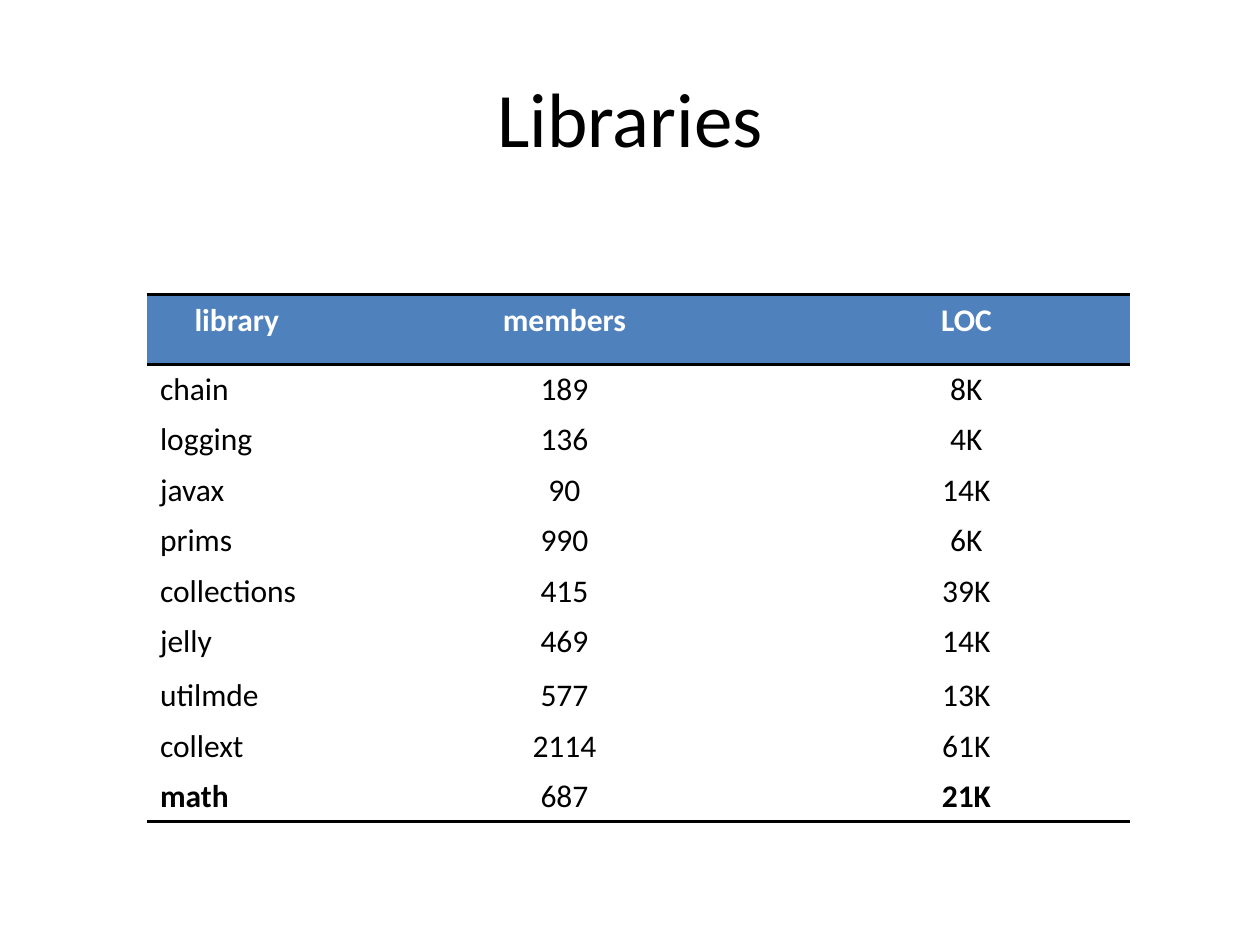
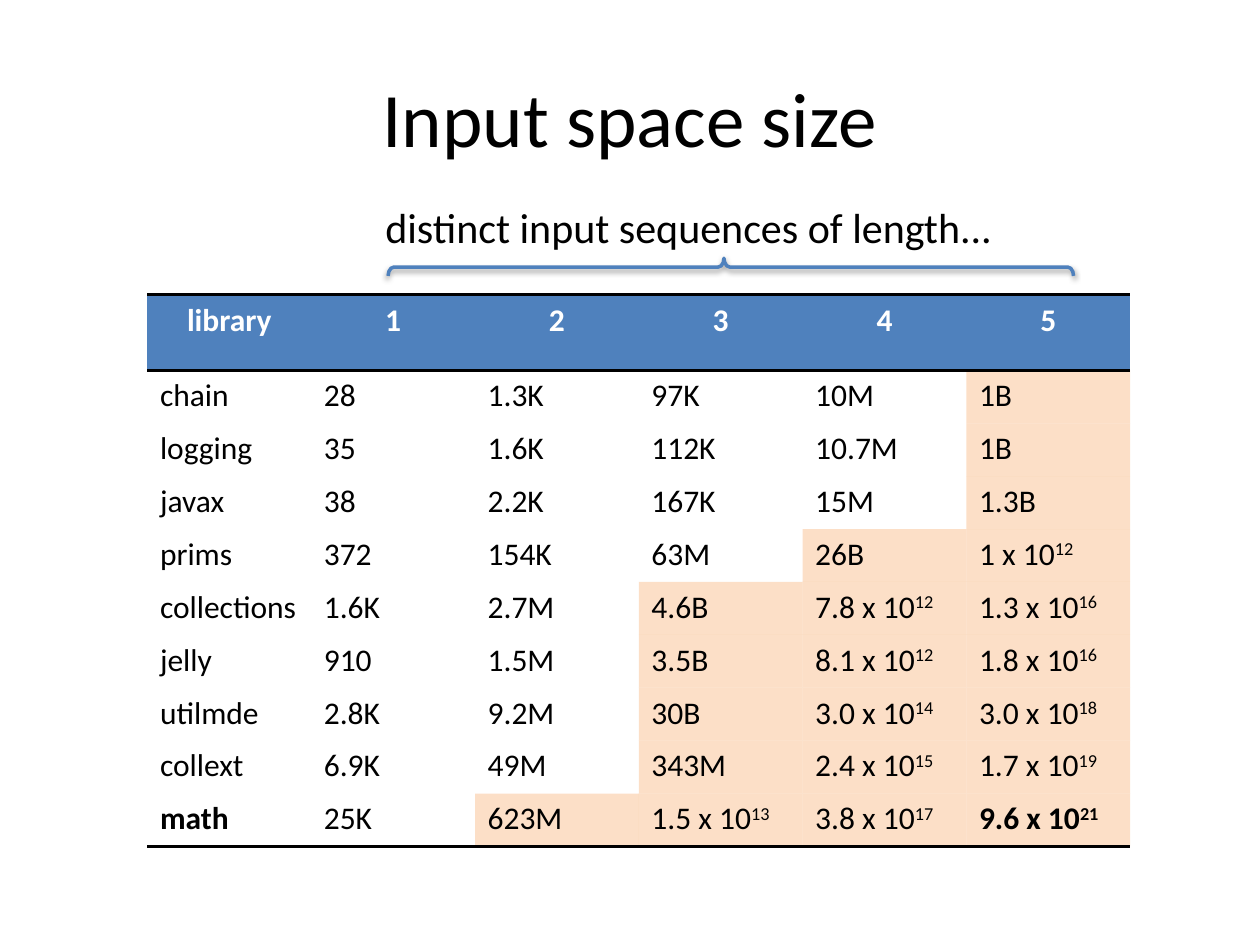
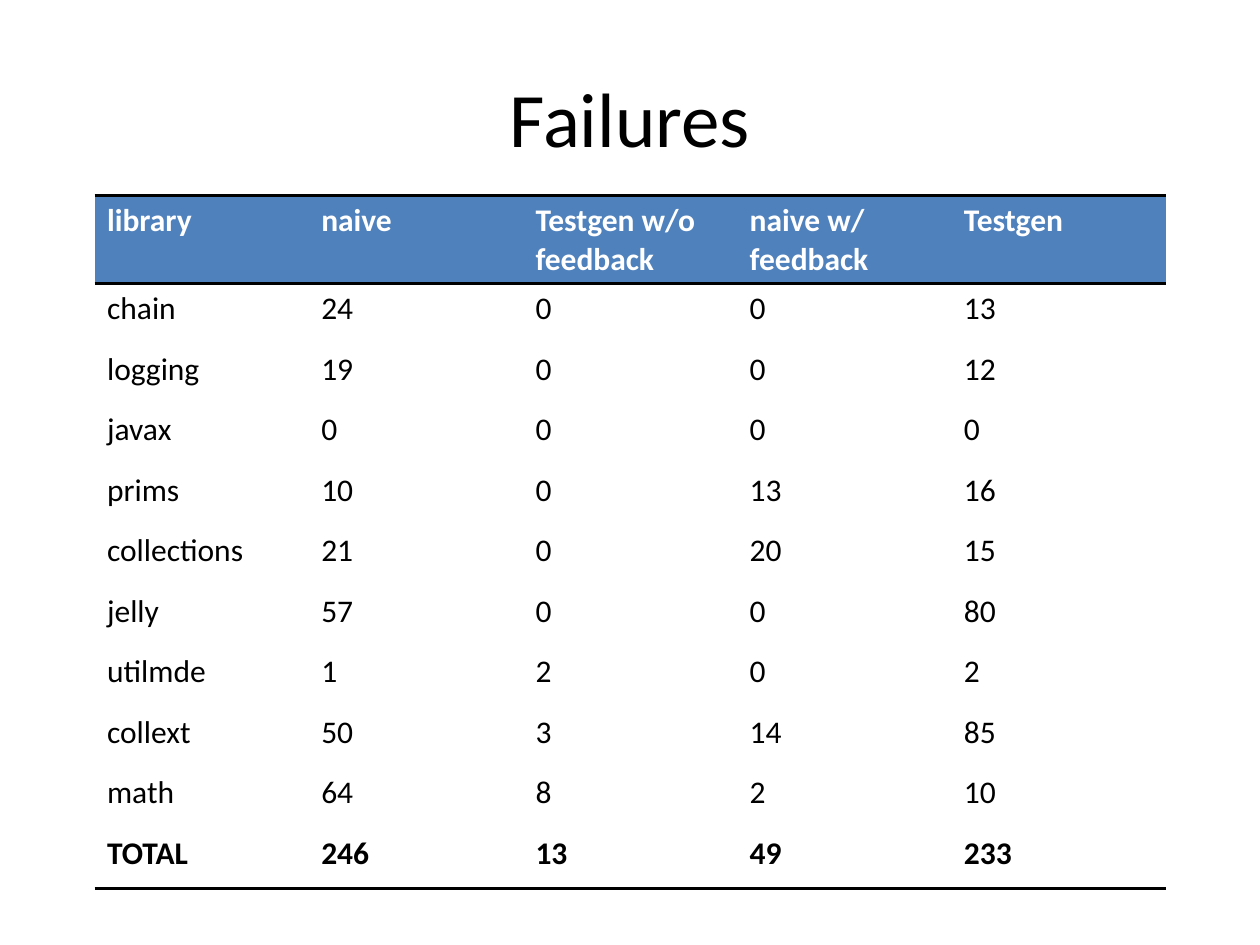
from itertools import product

from lxml.etree import SubElement
from pptx import Presentation
from pptx.dml.color import RGBColor
from pptx.enum.shapes import MSO_SHAPE
from pptx.enum.text import MSO_ANCHOR, PP_ALIGN
from pptx.oxml import parse_xml
from pptx.oxml.ns import nsdecls, qn
from pptx.util import Inches, Pt

COLORS = {"text": "000000", "rule": "000000", "page": "FFFFFF",
          "header": "4F81BD", "header_text": "FFFFFF", "large": "FAC090"}
FONT = "Calibri"
NO_STYLE_NO_GRID = "{2D5ABB26-0587-4C30-8999-92F81FD0307C}"
LIBRARIES = ["chain", "logging", "javax", "prims", "collections",
             "jelly", "utilmde", "collext", "math"]

TABLES = [
    {
        "title": "Libraries",
        "at": (1.17, 2.34, 7.8, 4.18),
        "columns": [1.42, 3.78, 2.6],
        "header_height": 0.55,
        "row_height": 0.4,
        "taller_rows": {6: 0.43},
        "header": ["library", "members", "LOC"],
        "header_align": PP_ALIGN.CENTER,
        "value_align": PP_ALIGN.CENTER,
        "values": ["189 8K", "136 4K", "90 14K", "990 6K", "415 39K",
                   "469 14K", "577 13K", "2114 61K", "687 21K"],
        "bold_columns": [0, 2],
    },
    {
        "title": "Input space size",
        "at": (1.17, 2.34, 7.8, 4.4),
        "columns": [1.3] * 6,
        "header_height": 0.6,
        "row_height": 0.42,
        "header": ["library", "1", "2", "3", "4", "5"],
        "header_align": PP_ALIGN.CENTER,
        "value_align": PP_ALIGN.LEFT,
        "values": ["28 1.3K 97K 10M 1B",
                   "35 1.6K 112K 10.7M 1B",
                   "38 2.2K 167K 15M 1.3B",
                   "372 154K 63M 26B 1^12",
                   "1.6K 2.7M 4.6B 7.8^12 1.3^16",
                   "910 1.5M 3.5B 8.1^12 1.8^16",
                   "2.8K 9.2M 30B 3.0^14 3.0^18",
                   "6.9K 49M 343M 2.4^15 1.7^19",
                   "25K 623M 1.5^13 3.8^17 9.6^21"],
        "bold_columns": [0, 5],
        "first_large": [5, 5, 5, 4, 3, 3, 3, 3, 2],
    },
    {
        "title": "Failures",
        "at": (0.75, 1.55, 8.5, 5.52),
        "columns": [1.7] * 5,
        "header_height": 0.7,
        "row_height": 0.48,
        "header": ["library", "naive", "Testgen w/o\nfeedback",
                   "naive w/\nfeedback", "Testgen"],
        "header_align": PP_ALIGN.LEFT,
        "value_align": PP_ALIGN.LEFT,
        "values": ["24 0 0 13", "19 0 0 12", "0 0 0 0", "10 0 13 16",
                   "21 0 20 15", "57 0 0 80", "1 2 0 2", "50 3 14 85",
                   "64 8 2 10", "246 13 49 233"],
        "bold_columns": range(5),
    },
]


def write(text_frame, text, size, color="text", bold=False, align=PP_ALIGN.LEFT):
    """Fill the frame; a number written as a^b reads a x 10 to the power b."""
    base, _, exponent = text.partition("^")
    text_frame.text = base + " x 10" if exponent else base
    if exponent:
        power = text_frame.paragraphs[0].add_run()
        power.text = exponent
        power.font._element.set("baseline", "30000")
    for paragraph in text_frame.paragraphs:
        paragraph.alignment = align
        for run in paragraph.runs:
            for name, value in {"name": FONT, "size": Pt(size), "bold": bold}.items():
                setattr(run.font, name, value)
            run.font.color.rgb = RGBColor.from_string(COLORS[color])


def add_rules(cell, sides):
    for position, side in enumerate(sides):
        cell._tc.get_or_add_tcPr().insert(position, parse_xml(
            f'<a:ln{side} {nsdecls("a")} w="{Pt(2)}"><a:solidFill>'
            f'<a:srgbClr val="{COLORS["rule"]}"/></a:solidFill></a:ln{side}>'))


presentation = Presentation()
presentation.slide_width, presentation.slide_height = Inches(10), Inches(7.5)

for content in TABLES:
    slide = presentation.slides.add_slide(presentation.slide_layouts[6])
    title = slide.shapes.add_textbox(Inches(0.5), Inches(0.3), Inches(9), Inches(1.25))
    title.text_frame.word_wrap = True
    title.text_frame.vertical_anchor = MSO_ANCHOR.MIDDLE
    write(title.text_frame, content["title"], 44, align=PP_ALIGN.CENTER)

    names = LIBRARIES + ["TOTAL"]
    rows = [content["header"]] + [
        [name] + values.split() for name, values in zip(names, content["values"])]
    last_row = len(rows) - 1
    frame = slide.shapes.add_table(len(rows), len(content["columns"]),
                                   *map(Inches, content["at"]))
    frame._element.find(".//" + qn("a:tableStyleId")).text = NO_STYLE_NO_GRID
    table = frame.table
    table.first_row = table.horz_banding = False
    for column, width in zip(table.columns, content["columns"]):
        column.width = Inches(width)
    heights = {0: content["header_height"], **content.get("taller_rows", {})}
    for index, row in enumerate(table.rows):
        row.height = Inches(heights.get(index, content["row_height"]))

    for row, column in product(range(len(rows)), range(len(content["columns"]))):
        cell = table.cell(row, column)
        is_header = row == 0
        is_large = (not is_header and "first_large" in content
                    and column >= content["first_large"][row - 1])
        if is_header:
            align = content["header_align"]
        else:
            align = content["value_align"] if column else PP_ALIGN.LEFT
        write(cell.text_frame, rows[row][column], 18,
              color="header_text" if is_header else "text",
              bold=is_header or (row == last_row and column in content["bold_columns"]),
              align=align)
        fill = "header" if is_header else "large" if is_large else "page"
        cell.fill.solid()
        cell.fill.fore_color.rgb = RGBColor.from_string(COLORS[fill])
        if is_large:
            color = cell._tc.tcPr.find(".//" + qn("a:srgbClr"))
            SubElement(color, qn("a:alpha"), val="50000")
        if is_header:
            add_rules(cell, "TB")
        elif row == last_row:
            add_rules(cell, "B")

# Caption and brace above the sequence lengths
slide = presentation.slides[1]
caption = slide.shapes.add_textbox(Inches(2.96), Inches(1.55), Inches(5.07), Inches(0.5))
caption.text_frame.word_wrap = False
write(caption.text_frame, "distinct input sequences of length...", 24)

brace = slide.shapes.add_shape(MSO_SHAPE.LEFT_BRACE, Inches(5.73), Inches(-0.6),
                               Inches(0.14), Inches(5.44))
brace.rotation = 90
brace.adjustments[0], brace.adjustments[1] = 0.33, 0.51
brace.fill.background()
brace.line.color.rgb = RGBColor.from_string(COLORS["header"])
brace.line.width = Pt(2)
brace._element.spPr.append(parse_xml(
    f'<a:effectLst {nsdecls("a")}><a:outerShdw blurRad="{Pt(3.1)}" dist="{Pt(1.6)}" '
    f'dir="5400000" rotWithShape="0"><a:srgbClr val="{COLORS["rule"]}">'
    '<a:alpha val="38000"/></a:srgbClr></a:outerShdw></a:effectLst>'))

presentation.save("out.pptx")
